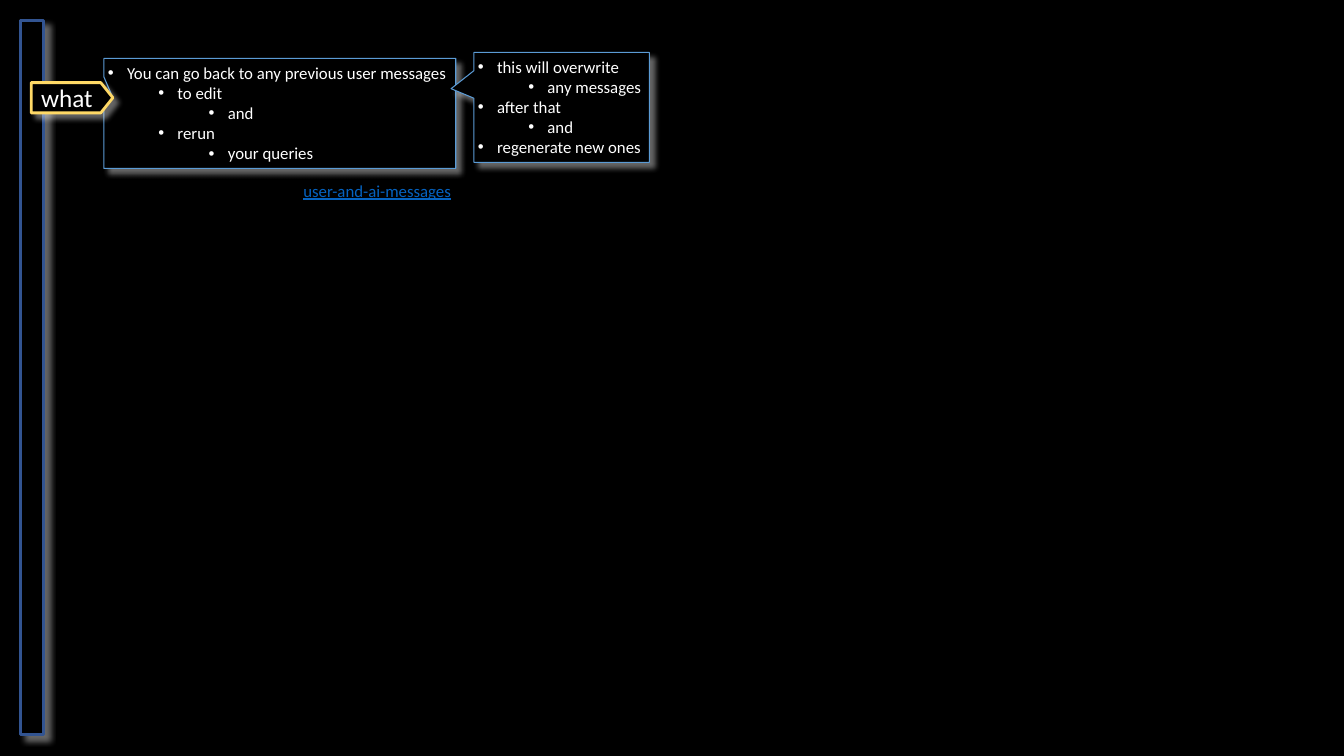
from dataclasses import dataclass

from lxml import etree
from pptx import Presentation
from pptx.dml.color import RGBColor
from pptx.enum import shapes, text
from pptx.oxml import ns
from pptx.util import Emu, Inches, Pt


@dataclass(frozen=True)
class Theme:
    font: str = "Calibri"
    body_size: int = 12
    label_size: int = 18
    background: str = "000000"
    ink: str = "FFFFFF"
    bar_line: str = "325491"
    callout_line: str = "5B9BD5"
    label_line: str = "FFD966"
    link: str = "0563C1"
    shadow: str = "FFFFFF"


THEME = Theme()
BULLET_INDENT = 0.19
LEVEL_STEP = 0.5

ACTIONS = [
    (0, "You can go back to any previous user messages"),
    (1, "to edit"),
    (2, "and"),
    (1, "rerun"),
    (2, "your queries"),
]
EFFECTS = [
    (0, "this will overwrite"),
    (1, "any messages"),
    (0, "after that"),
    (1, "and"),
    (0, "regenerate new ones"),
]


def color(value):
    return RGBColor.from_string(value)


def add_glow_shadow(shape):
    """Cast a soft shadow to the lower right."""
    shape.shadow.inherit = False
    effects = shape._element.spPr.find(ns.qn("a:effectLst"))
    outer = etree.SubElement(
        effects, ns.qn("a:outerShdw"), blurRad=str(Pt(4)), dist=str(Pt(5)),
        dir=str(45 * 60000), algn="tl", rotWithShape="0")
    shade = etree.SubElement(outer, ns.qn("a:srgbClr"), val=THEME.shadow)
    etree.SubElement(shade, ns.qn("a:alpha"), val="40000")


def style_outline(shape, line_color, width):
    add_glow_shadow(shape)
    shape.fill.solid()
    shape.fill.fore_color.rgb = color(THEME.background)
    shape.line.color.rgb = color(line_color)
    shape.line.width = Pt(width)


def set_frame(shape, insets, anchor=text.MSO_ANCHOR.TOP):
    frame = shape.text_frame
    frame.word_wrap = False
    frame.auto_size = text.MSO_AUTO_SIZE.SHAPE_TO_FIT_TEXT
    frame.vertical_anchor = anchor
    (frame.margin_left, frame.margin_top,
     frame.margin_right, frame.margin_bottom) = map(Inches, insets)
    return frame


def write(paragraph, words, size, ink):
    paragraph.text = words
    paragraph.alignment = text.PP_ALIGN.LEFT
    paragraph.font.name = THEME.font
    paragraph.font.size = Pt(size)
    paragraph.font.color.rgb = color(ink)


def add_bullet(paragraph, level):
    paragraph.level = level
    properties = paragraph._p.get_or_add_pPr()
    properties.set("marL", str(Inches(BULLET_INDENT + LEVEL_STEP * level)))
    properties.set("indent", str(Inches(-BULLET_INDENT)))
    etree.SubElement(properties, ns.qn("a:buFont"), typeface="Arial")
    etree.SubElement(properties, ns.qn("a:buChar"), char="•")


def add_side_bar(slide, box):
    bar = slide.shapes.add_shape(
        shapes.MSO_SHAPE.RECTANGLE, *map(Inches, box))
    style_outline(bar, THEME.bar_line, 2)


def add_callout(slide, box, pointer, items):
    """Add a bulleted callout; pointer is the tip's offset from the centre."""
    callout = slide.shapes.add_shape(
        shapes.MSO_SHAPE.RECTANGULAR_CALLOUT, *map(Inches, box))
    callout.adjustments[0], callout.adjustments[1] = pointer
    style_outline(callout, THEME.callout_line, 0.75)
    frame = set_frame(callout, [0.04] * 4)
    for index, (level, words) in enumerate(items):
        paragraph = frame.add_paragraph() if index else frame.paragraphs[0]
        add_bullet(paragraph, level)
        write(paragraph, words, THEME.body_size, THEME.ink)


def add_link_text(slide, box, words):
    link = slide.shapes.add_textbox(*map(Inches, box))
    paragraph = set_frame(link, (0.1, 0.05, 0.1, 0.05)).paragraphs[0]
    write(paragraph, words, THEME.body_size, THEME.link)
    paragraph.font.underline = True


def add_tag(slide, box, words):
    """Add a label whose right side ends in a point."""
    left, top, width, height = map(Inches, box)
    right, bottom = left + width, top + height
    shoulder = right - Inches(0.12)
    builder = slide.shapes.build_freeform(left, top)
    builder.add_line_segments([
        (shoulder, top), (right, Emu(top + height // 2)),
        (shoulder, bottom), (left, bottom)])
    tag = builder.convert_to_shape()
    style_outline(tag, THEME.label_line, 2)
    frame = set_frame(tag, (0.1, 0, 0.2, 0), text.MSO_ANCHOR.MIDDLE)
    write(frame.paragraphs[0], words, THEME.label_size, THEME.ink)


def build_messages_slide(presentation):
    slide = presentation.slides.add_slide(presentation.slide_layouts[6])
    slide.background.fill.solid()
    slide.background.fill.fore_color.rgb = color(THEME.background)
    add_side_bar(slide, (0.2, 0.2, 0.23, 7.09))
    add_callout(slide, (1.03, 0.58, 3.49, 1.09), (-0.475, -0.147), ACTIONS)
    add_link_text(slide, (2.91, 1.74, 1.69, 0.3), "user-and-ai-messages")
    add_tag(slide, (0.31, 0.82, 0.81, 0.3), "what")
    add_callout(slide, (4.7, 0.52, 1.74, 1.09), (-0.63, -0.17), EFFECTS)


def main():
    presentation = Presentation()
    presentation.slide_width = Inches(13.33)
    presentation.slide_height = Inches(7.5)
    build_messages_slide(presentation)
    presentation.save("out.pptx")


if __name__ == "__main__":
    main()
